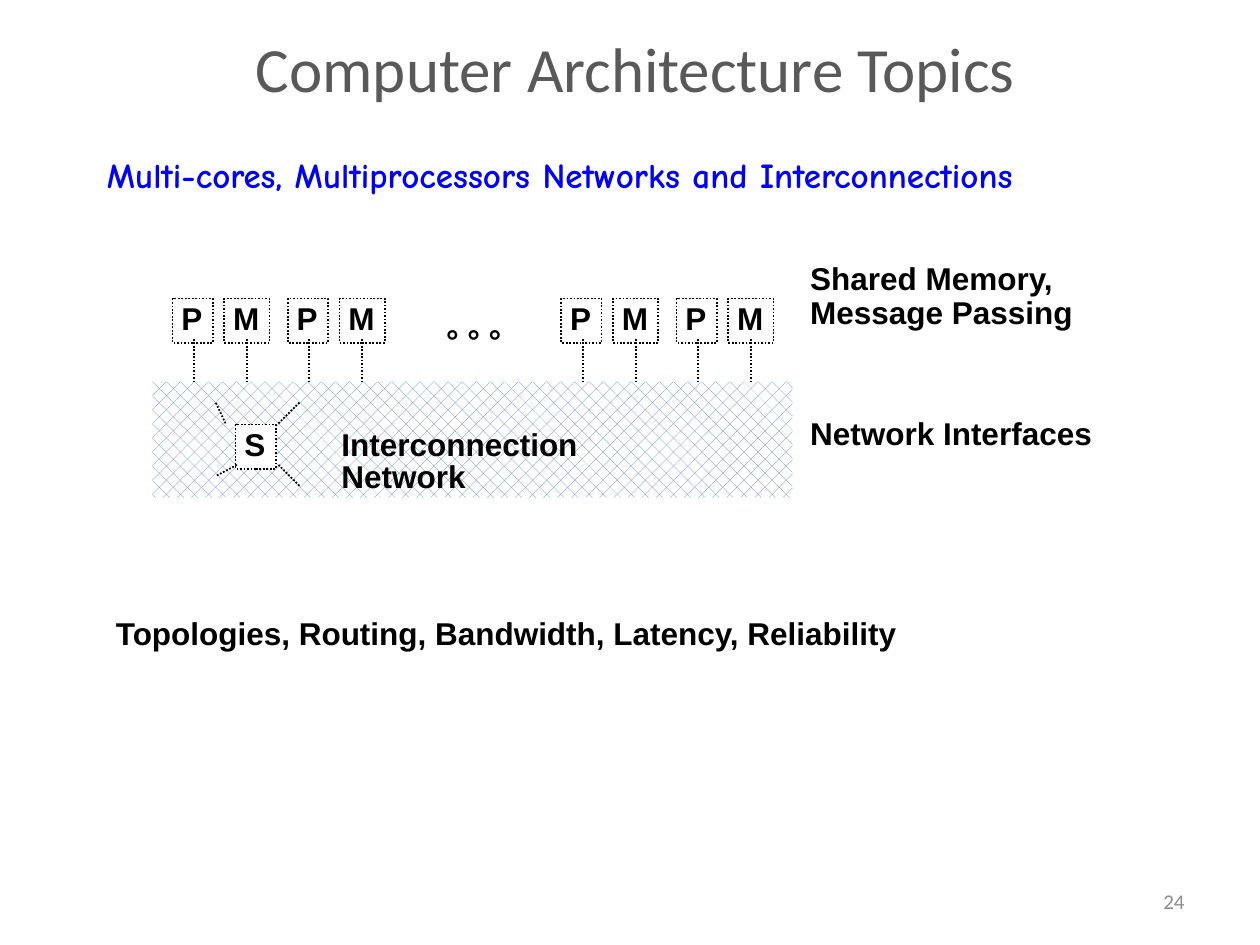
"""Build the Computer Architecture Topics slide on a grid of 100 columns by 75 rows."""
from dataclasses import dataclass
from itertools import product

from lxml import etree
from pptx import Presentation
from pptx import util as u
from pptx.dml import color
from pptx.enum import dml, shapes, text
from pptx.oxml import ns


@dataclass(frozen=True)
class Theme:
    ink: str = "000000"
    paper: str = "FFFFFF"
    title: str = "595959"
    topic: str = "0000FF"
    network: str = "4F81BD"
    number: str = "8C8C8C"
    heading_font: str = "Calibri"
    label_font: str = "Arial"
    topic_font: str = "Comic Neue"
    title_size: int = 36
    topic_size: int = 20
    label_size: int = 18
    number_size: int = 12


@dataclass(frozen=True)
class Area:
    col: float
    row: float
    cols: float
    rows: float


@dataclass(frozen=True)
class Style:
    font: str
    size: int
    color: str
    bold: bool = True
    spacing: float = 1.0
    align: text.PP_ALIGN = text.PP_ALIGN.LEFT


@dataclass(frozen=True)
class Label:
    words: str
    area: Area
    spacing: float


@dataclass(frozen=True)
class Unit:
    letter: str
    offset: float
    cols: float
    link: float


THEME = Theme()
SMALL_INSETS = (0.7, 0.3)
WIDE_INSETS = (1, 0.5)
NODE_ROW, NODE_ROWS = 23.7, 3.5
LINK_ROW, NETWORK_ROW = 26.9, 30.3
PAIR_COLS = (13.7, 22.85, 44.55, 53.7)
UNITS = (Unit("P", 0, 3.2, 1.7), Unit("M", 4.1, 3.6, 5.9))
SWITCH = Area(18.7, 33.7, 3.2, NODE_ROWS)
SWITCH_LINKS = (
    (22.1, 33.6, 23.8, 31.9),
    (17.9, 33.6, 17.1, 31.9),
    (18.8, 36.9, 17.1, 37.8),
    (22.1, 36.9, 23.8, 38.6),
)
NETWORK = Area(12.1, NETWORK_ROW, 50.8, 9.2)
LABELS = (
    Label("Interconnection Network", Area(26.4, 33.9, 30.7, 3.1), 0.85),
    Label("°\u00a0°\u00a0°", Area(34.7, 25.6, 5.8, 3.1), 0.85),
    Label("Topologies, Routing, Bandwidth, Latency, Reliability", Area(8.5, 48.8, 84.5, 4.1), 0.9),
    Label("Network Interfaces", Area(63.6, 32.9, 31.2, 4.1), 0.9),
    Label("Shared Memory,\nMessage Passing", Area(63.6, 20.6, 29.2, 7.7), 0.9),
)

deck = Presentation()
deck.slide_width, deck.slide_height = u.Inches(10), u.Inches(7.5)
CELL = deck.slide_width / 100


def grid(*cells: float) -> list[int]:
    """Turn grid cells into lengths."""
    return [round(cell * CELL) for cell in cells]


def spot(area: Area) -> list[int]:
    """Give the left, top, width and height of an area."""
    return grid(area.col, area.row, area.cols, area.rows)


def rgb(code: str) -> color.RGBColor:
    """Read a colour code."""
    return color.RGBColor.from_string(code)


def label_style(spacing: float) -> Style:
    """Give the diagram's label style with a line spacing."""
    return Style(THEME.label_font, THEME.label_size, THEME.ink, spacing=spacing)


def write(frame, words: str, style: Style, insets=WIDE_INSETS, grow: bool = True,
          anchor=text.MSO_ANCHOR.TOP) -> None:
    """Fill a text frame in one style."""
    frame.text = words
    frame.word_wrap = not grow
    frame.auto_size = text.MSO_AUTO_SIZE.SHAPE_TO_FIT_TEXT if grow else text.MSO_AUTO_SIZE.NONE
    frame.vertical_anchor = anchor
    frame.margin_left, frame.margin_top = grid(*insets)
    frame.margin_right, frame.margin_bottom = grid(*insets)
    for paragraph in frame.paragraphs:
        paragraph.alignment = style.align
        paragraph.line_spacing = style.spacing
        font = paragraph.font
        font.name, font.size, font.bold = style.font, u.Pt(style.size), style.bold
        font.color.rgb = rgb(style.color)


def dot(line) -> None:
    """Make a line thin and dotted."""
    line.color.rgb = rgb(THEME.ink)
    line.width = u.Pt(1)
    line.dash_style = dml.MSO_LINE.ROUND_DOT


def draw_link(slide, *ends: float) -> None:
    """Draw a dotted link between two grid points."""
    link = slide.shapes.add_connector(shapes.MSO_CONNECTOR.STRAIGHT, *grid(*ends))
    dot(link.line)
    etree.SubElement(link.element.spPr, ns.qn("a:effectLst"))


def draw_node(slide, letter: str, area: Area, filled: bool = False) -> None:
    """Draw a dotted box with one letter."""
    node = slide.shapes.add_shape(shapes.MSO_SHAPE.RECTANGLE, *spot(area))
    node.shadow.inherit = False
    if filled:
        node.fill.solid()
        node.fill.fore_color.rgb = rgb(THEME.paper)
    else:
        node.fill.background()
    dot(node.line)
    write(node.text_frame, letter, label_style(0.92), SMALL_INSETS)


def draw_network(slide) -> None:
    """Draw the patterned network band with its switch."""
    band = slide.shapes.add_shape(shapes.MSO_SHAPE.RECTANGLE, *spot(NETWORK))
    band.shadow.inherit = False
    band.line.fill.background()
    band.fill.patterned()
    band.fill.pattern = dml.MSO_PATTERN.PERCENT_25
    band.fill.fore_color.rgb = rgb(THEME.network)
    band.fill.back_color.rgb = rgb(THEME.paper)
    draw_node(slide, "S", SWITCH, filled=True)
    for ends in SWITCH_LINKS:
        draw_link(slide, *ends)


def draw_text(slide, words: str, area: Area, style: Style, **layout) -> None:
    """Place a text box."""
    box = slide.shapes.add_textbox(*spot(area))
    write(box.text_frame, words, style, **layout)


def main() -> None:
    """Build and save the slide."""
    slide = deck.slides.add_slide(deck.slide_layouts[5])
    title = slide.shapes.title
    title.left, title.top, title.width, title.height = spot(Area(10.9, 3.3, 79.1, 4.1))
    write(title.text_frame, "Computer Architecture Topics",
          Style(THEME.heading_font, THEME.title_size, THEME.title, False, align=text.PP_ALIGN.CENTER),
          grow=False, anchor=text.MSO_ANCHOR.MIDDLE)
    draw_network(slide)
    for start, unit in product(PAIR_COLS, UNITS):
        draw_node(slide, unit.letter, Area(start + unit.offset, NODE_ROW, unit.cols, NODE_ROWS))
        draw_link(slide, start + unit.link, LINK_ROW, start + unit.link, NETWORK_ROW)
    for label in LABELS:
        draw_text(slide, label.words, label.area, label_style(label.spacing), insets=SMALL_INSETS)
    draw_text(slide, "Multi-cores, Multiprocessors Networks and Interconnections",
              Area(7.5, 11.7, 84, 4.3), Style(THEME.topic_font, THEME.topic_size, THEME.topic))
    draw_text(slide, "24", Area(71.7, 69.5, 23.3, 4),
              Style(THEME.heading_font, THEME.number_size, THEME.number, False, align=text.PP_ALIGN.RIGHT),
              grow=False, anchor=text.MSO_ANCHOR.MIDDLE)
    deck.save("out.pptx")


if __name__ == "__main__":
    main()
